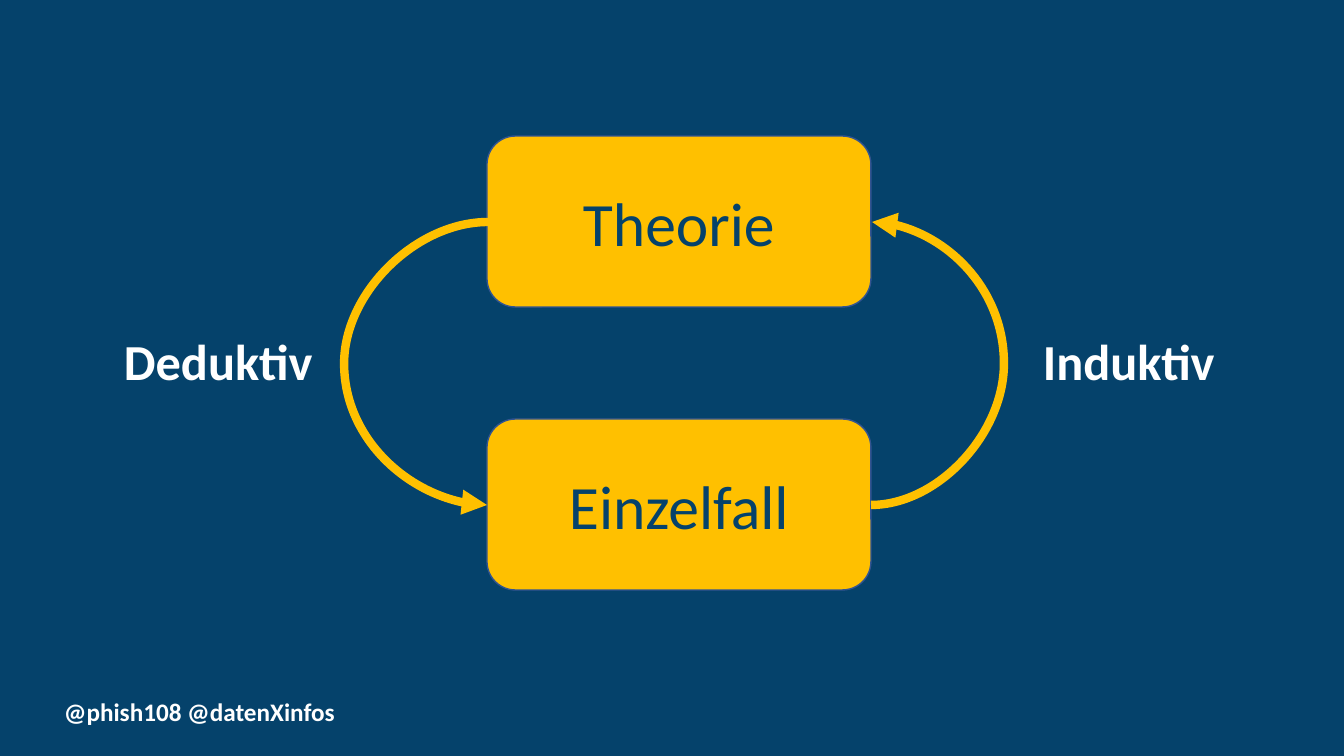
from dataclasses import dataclass

from lxml import etree
from pptx import Presentation
from pptx.dml.color import RGBColor
from pptx.enum.shapes import MSO_CONNECTOR, MSO_SHAPE
from pptx.enum.text import MSO_ANCHOR, PP_ALIGN
from pptx.oxml.ns import qn
from pptx.util import Pt

ROUNDED = MSO_SHAPE.ROUNDED_RECTANGLE
CURVE = MSO_CONNECTOR.CURVE
MIDDLE = MSO_ANCHOR.MIDDLE
TOP = MSO_ANCHOR.TOP
CENTER = PP_ALIGN.CENTER
LEFT = PP_ALIGN.LEFT
PIXEL = 914400 / 100.8


@dataclass(frozen=True)
class Theme:
    """Colours, font and sizes of the slide."""
    navy: RGBColor = RGBColor(0x05, 0x42, 0x6B)
    amber: RGBColor = RGBColor(0xFF, 0xC0, 0x00)
    outline: RGBColor = RGBColor(0x32, 0x54, 0x91)
    white: RGBColor = RGBColor(0xFF, 0xFF, 0xFF)
    font: str = "Calibri"
    concept: int = 44
    direction: int = 36
    credit: int = 18
    edge: int = 1
    arrow: int = 6


THEME = Theme()


def emu(*pixels):
    """Turn pixels into EMU."""
    return [round(value * PIXEL) for value in pixels]


def write(frame, words, size, color, bold=False, align=LEFT, anchor=TOP, wrap=True):
    """Put one formatted paragraph into a text frame."""
    frame.word_wrap = wrap
    frame.vertical_anchor = anchor
    paragraph = frame.paragraphs[0]
    paragraph.alignment = align
    run = paragraph.add_run()
    run.text = words
    run.font.color.rgb = color
    formats = {"name": THEME.font, "size": Pt(size), "bold": bold}
    for attribute, value in formats.items():
        setattr(run.font, attribute, value)


def add_label(slide, box, words, size, wrap=True):
    """Add bold white text in the given box."""
    label = slide.shapes.add_textbox(*emu(*box))
    write(label.text_frame, words, size, THEME.white, bold=True, wrap=wrap)


def add_concept(slide, box, words):
    """Add a rounded amber concept in the given box."""
    concept = slide.shapes.add_shape(ROUNDED, *emu(*box))
    concept.shadow.inherit = False
    concept.fill.solid()
    concept.fill.fore_color.rgb = THEME.amber
    concept.line.color.rgb = THEME.outline
    concept.line.width = Pt(THEME.edge)
    write(concept.text_frame, words, THEME.concept, THEME.navy,
          align=CENTER, anchor=MIDDLE)


def add_arc(slide, start, end, reach):
    """Add a curved arrow bulging by reach pixels from its start."""
    arc = slide.shapes.add_connector(CURVE, *emu(*start, *end))
    arc.line.color.rgb = THEME.amber
    arc.line.width = Pt(THEME.arrow)
    properties = arc._element.spPr
    guides = properties.find(qn("a:prstGeom")).get_or_add_avLst()
    bulge = round(reach / abs(end[0] - start[0]) * 100000)
    etree.SubElement(guides, qn("a:gd"), name="adj1", fmla=f"val {bulge}")
    etree.SubElement(properties.find(qn("a:ln")), qn("a:tailEnd"), type="triangle")
    etree.SubElement(properties, qn("a:effectLst"))


def add_cycle(slide, box):
    """Add the two concepts, the arcs between them and their labels."""
    left, top, width, height = box
    concept_left, concept_width, concept_height = left + 373, 384, 171
    concept_right = concept_left + concept_width
    lower_top = top + height - concept_height
    for concept_top, words in ((top, "Theorie"), (lower_top, "Einzelfall")):
        add_concept(slide, (concept_left, concept_top, concept_width, concept_height), words)
    upper, lower = top + concept_height // 2 + 1, lower_top + concept_height // 2 + 1
    add_arc(slide, (concept_right, lower), (concept_right + 1, upper), 134)
    add_arc(slide, (concept_left + 1, upper), (concept_left, lower), 145)
    label_width, label_height = 259, 71
    label_top = top + (height - label_height) // 2 - 2
    for label_left, words in ((left, "Deduktiv"), (left + width - label_width, "Induktiv")):
        add_label(slide, (label_left, label_top, label_width, label_height),
                  words, THEME.direction)


def build():
    """Build and save the slide."""
    deck = Presentation()
    deck.slide_width, deck.slide_height = emu(1344, 756)
    slide = deck.slides.add_slide(deck.slide_layouts[6])
    slide.background.fill.solid()
    slide.background.fill.fore_color.rgb = THEME.navy
    add_label(slide, (54, 691, 293, 40), "@phish108 @datenXinfos", THEME.credit, wrap=False)
    add_cycle(slide, (114, 136, 1178, 454))
    deck.save("out.pptx")


build()
